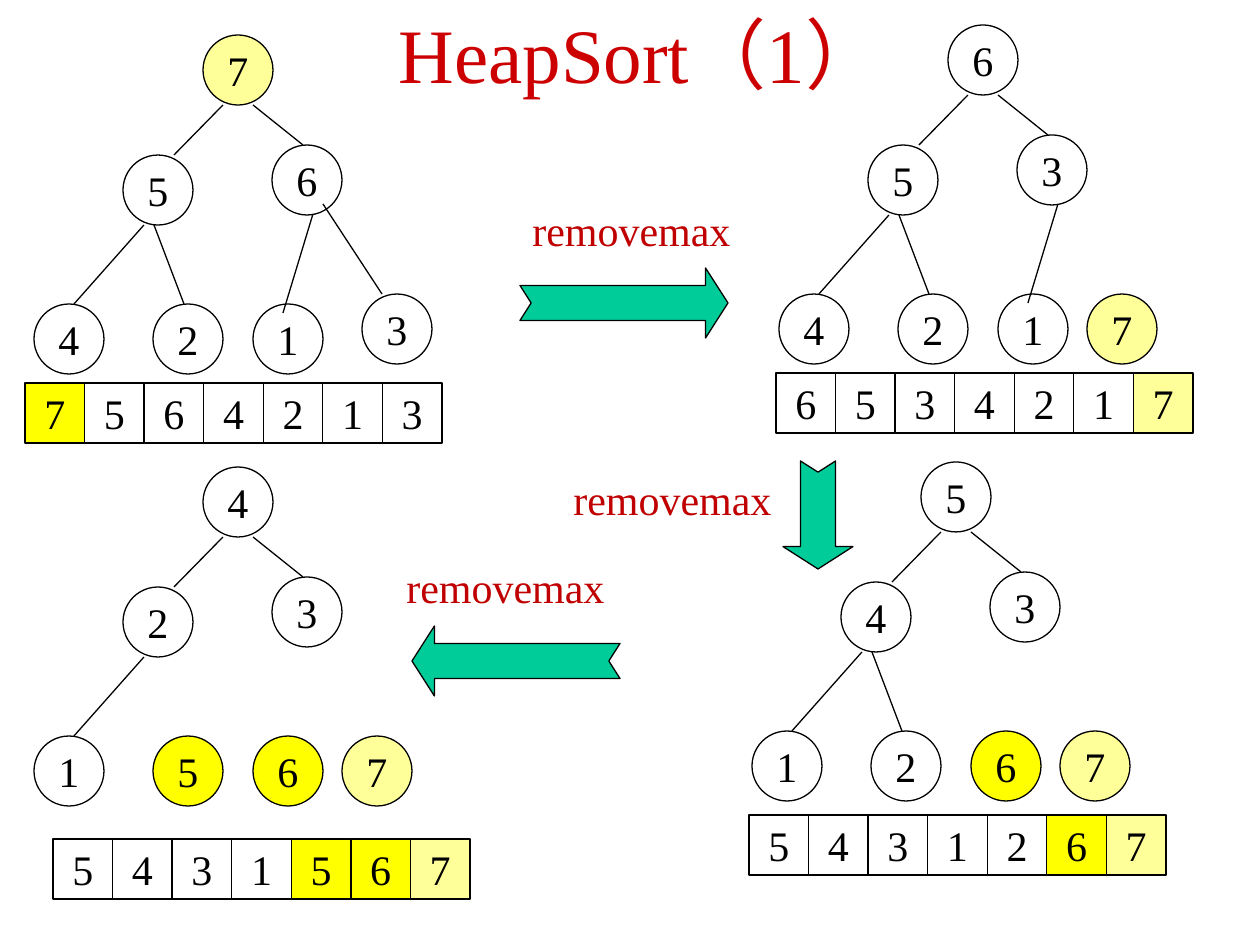
from lxml import etree
from pptx import Presentation
from pptx.dml.color import RGBColor
from pptx.enum.shapes import MSO_CONNECTOR, MSO_SHAPE
from pptx.enum.text import MSO_ANCHOR, PP_ALIGN
from pptx.oxml.ns import qn
from pptx.util import Pt

PX = 7257  # EMU in one px, at 126 px to the inch
FONT = "Times New Roman"
LEFT, CENTER = PP_ALIGN.LEFT, PP_ALIGN.CENTER
MIDDLE, TOP = MSO_ANCHOR.MIDDLE, MSO_ANCHOR.TOP
OVAL, RECT = MSO_SHAPE.OVAL, MSO_SHAPE.RECTANGLE
ARROW = MSO_SHAPE.NOTCHED_RIGHT_ARROW
STRAIGHT = MSO_CONNECTOR.STRAIGHT

BLACK = RGBColor(0, 0, 0)
TITLE_RED = RGBColor(0xCC, 0, 0)
LABEL_RED = RGBColor(0xC0, 0, 0)
GREEN = RGBColor(0, 0xCC, 0x99)
YELLOW = RGBColor(0xFF, 0xFF, 0)
PALE = RGBColor(0xFF, 0xFF, 0x99)

TITLE = "HeapSort（1）"
NODE, ROW_WIDTH, CELL_HEIGHT = 70, 417, 60

# Node places and edge ends, measured from the root's top left corner
SLOTS = {"root": (0, 0), "left": (-80, 120), "right": (69, 110),
         "leaf1": (-169, 269), "leaf2": (-50, 269), "leaf3": (50, 269),
         "leaf4": (159, 259), "spare": (139, 269)}
EDGES = {"left": (20, 70, -29, 120), "leaf1": (-59, 190, -129, 269),
         "right": (50, 70, 100, 110), "leaf2": (-49, 190, -19, 269),
         "leaf3": (110, 179, 80, 278), "leaf4": (120, 169, 179, 259)}

# Each stage: root corner, nodes, and the array with its corner;
# "sorted" gives the fill of nodes and cells already removed
STAGES = [
    {"root": (203, 35), "row": (25, 383), "array": "7564213",
     "nodes": {"root": "7", "left": "5", "right": "6", "leaf1": "4",
               "leaf2": "2", "leaf3": "1", "leaf4": "3"},
     "node_fills": {"root": PALE}, "cell_fills": {0: YELLOW}},
    {"root": (948, 25), "row": (776, 373), "array": "6534217",
     "nodes": {"root": "6", "left": "5", "right": "3", "leaf1": "4",
               "leaf2": "2", "leaf3": "1", "spare": "7"},
     "node_fills": {"spare": PALE}, "cell_fills": {6: PALE}},
    {"root": (921, 462), "row": (749, 815), "array": "5431267",
     "nodes": {"root": "5", "left": "4", "right": "3", "leaf1": "1",
               "leaf2": "2", "leaf3": "6", "spare": "7"},
     "node_fills": {"leaf3": YELLOW, "spare": PALE},
     "cell_fills": {5: YELLOW, 6: PALE}},
    {"root": (203, 467), "row": (53, 839), "array": "5431567",
     "nodes": {"root": "4", "left": "2", "right": "3", "leaf1": "1",
               "leaf2": "5", "leaf3": "6", "spare": "7"},
     "node_fills": {"leaf2": YELLOW, "leaf3": YELLOW, "spare": PALE},
     "cell_fills": {4: YELLOW, 5: YELLOW, 6: PALE}},
]

# Arrow box and rotation, then the corner of its label
STEPS = [((520, 268, 208, 70), 0, (520, 198)),
         ((764, 480, 108, 70), 90, (561, 467)),
         ((412, 626, 208, 70), 180, (394, 555))]


def emu(*lengths):
    return [round(length * PX) for length in lengths]


def write(shape, text, size=24, color=BLACK, align=CENTER, anchor=MIDDLE, wrap=False):
    frame = shape.text_frame
    frame.word_wrap = wrap
    frame.vertical_anchor = anchor
    para = frame.paragraphs[0]
    para.alignment = align
    span = para.add_run()
    span.text = text
    span.font.name = FONT
    span.font.size = Pt(size)
    span.font.color.rgb = color


def add_outlined(page, kind, box, fill=None):
    shape = page.shapes.add_shape(kind, *emu(*box))
    shape.shadow.inherit = False
    if fill is None:
        shape.fill.background()
    else:
        shape.fill.solid()
        shape.fill.fore_color.rgb = fill
    shape.line.color.rgb = BLACK
    shape.line.width = Pt(0.75)
    return shape


def add_edge(page, *ends):
    edge = page.shapes.add_connector(STRAIGHT, *emu(*ends))
    edge.line.color.rgb = BLACK
    edge.line.width = Pt(0.75)
    etree.SubElement(edge._element.spPr, qn("a:effectLst"))


def add_tree(page, stage):
    x, y = stage["root"]
    fills = stage["node_fills"]
    for slot, key in stage["nodes"].items():
        dx, dy = SLOTS[slot]
        node = add_outlined(page, OVAL, (x + dx, y + dy, NODE, NODE), fills.get(slot))
        write(node, key)
    # Removed nodes have lost their edge
    for slot, (x1, y1, x2, y2) in EDGES.items():
        if slot in stage["nodes"] and slot not in fills:
            add_edge(page, x + x1, y + y1, x + x2, y + y2)


def add_array(page, stage):
    x, y = stage["row"]
    width = ROW_WIDTH / len(stage["array"])
    for index, key in enumerate(stage["array"]):
        box = (x + index * width, y, width, CELL_HEIGHT)
        write(add_outlined(page, RECT, box, stage["cell_fills"].get(index)), key)


def main():
    deck = Presentation()
    deck.slide_width, deck.slide_height = emu(1260, 945)
    page = deck.slides.add_slide(deck.slide_layouts[5])

    # Title
    title = page.shapes.title
    title.left, title.top, title.width, title.height = emu(105, 0, 1071, 106)
    write(title, TITLE, size=44, color=TITLE_RED, wrap=True)

    # Heaps and their arrays
    for stage in STAGES:
        add_tree(page, stage)
        add_array(page, stage)

    # Steps between the heaps
    for box, rotation, corner in STEPS:
        arrow = add_outlined(page, ARROW, box, GREEN)
        arrow.adjustments[0], arrow.adjustments[1] = 0.5, 0.32
        arrow.rotation = rotation
        label = page.shapes.add_textbox(*emu(*corner, 226, 64))
        write(label, "removemax", color=LABEL_RED, align=LEFT, anchor=TOP)

    deck.save("out.pptx")


if __name__ == "__main__":
    main()
